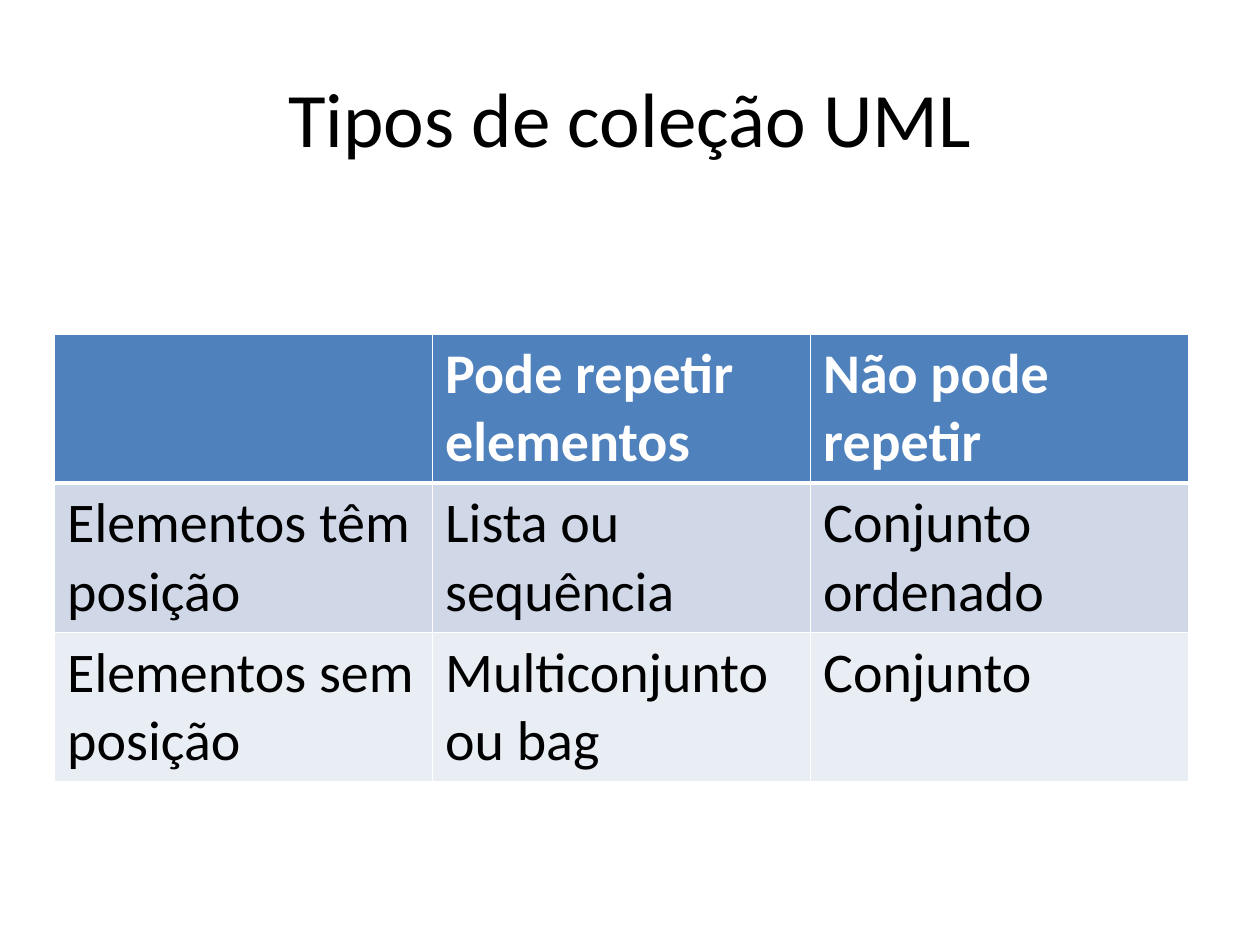
from dataclasses import dataclass

from lxml.etree import SubElement
from pptx import Presentation
from pptx.dml.color import RGBColor
from pptx.enum.text import MSO_ANCHOR, PP_ALIGN
from pptx.oxml.ns import qn
from pptx.util import Pt


@dataclass(frozen=True)
class Theme:
    font: str = "Calibri"
    title_size: int = 44
    cell_size: int = 32
    ink: str = "000000"
    header_ink: str = "FFFFFF"
    header_fill: str = "4F81BD"
    bands: tuple = ("D0D8E8", "E9EDF4")
    rule: str = "FFFFFF"
    thin: int = 1
    thick: int = 3


class SlideBuilder:
    def __init__(self, slide, theme):
        self.slide = slide
        self.theme = theme

    def style(self, paragraph, size, color, bold=False):
        for run in paragraph.runs:
            run.font.name = self.theme.font
            run.font.size = Pt(size)
            run.font.bold = bold
            run.font.color.rgb = RGBColor.from_string(color)

    def title(self, text, left, top, width, height):
        heading = self.slide.shapes.add_textbox(Pt(left), Pt(top), Pt(width), Pt(height))
        frame = heading.text_frame
        frame.word_wrap = True
        frame.vertical_anchor = MSO_ANCHOR.MIDDLE
        frame.text = text
        frame.paragraphs[0].alignment = PP_ALIGN.CENTER
        self.style(frame.paragraphs[0], self.theme.title_size, self.theme.ink)

    def borders(self, cell, top, bottom):
        properties = cell._tc.get_or_add_tcPr()
        widths = {"L": self.theme.thin, "R": self.theme.thin, "T": top, "B": bottom}
        for side, width in widths.items():
            line = SubElement(properties, qn(f"a:ln{side}"), w=str(Pt(width)))
            fill = SubElement(line, qn("a:solidFill"))
            SubElement(fill, qn("a:srgbClr"), val=self.theme.rule)

    def table(self, rows, left, top, column_width, row_height):
        theme = self.theme
        columns = len(rows[0])
        grid = self.slide.shapes.add_table(
            len(rows), columns, Pt(left), Pt(top),
            Pt(column_width * columns), Pt(row_height * len(rows))).table
        for column in grid.columns:
            column.width = Pt(column_width)
        for index, texts in enumerate(rows):
            grid.rows[index].height = Pt(row_height)
            header = index == 0
            fill = theme.header_fill if header else theme.bands[(index - 1) % 2]
            ink = theme.header_ink if header else theme.ink
            for cell, text in zip(grid.rows[index].cells, texts):
                self.borders(cell, theme.thick if index == 1 else theme.thin,
                             theme.thick if header else theme.thin)
                cell.fill.solid()
                cell.fill.fore_color.rgb = RGBColor.from_string(fill)
                cell.text_frame.text = text
                self.style(cell.text_frame.paragraphs[0], theme.cell_size, ink, header)


def main():
    """Build the slide on UML collection types."""
    presentation = Presentation()
    presentation.slide_width, presentation.slide_height = Pt(720), Pt(540)
    slide = presentation.slides.add_slide(presentation.slide_layouts[6])
    builder = SlideBuilder(slide, Theme())
    builder.title("Tipos de coleção UML", 36, 21.6, 648, 90)
    collection_types = [
        ("", "Pode repetir elementos", "Não pode repetir"),
        ("Elementos têm posição", "Lista ou sequência", "Conjunto ordenado"),
        ("Elementos sem posição", "Multiconjunto ou bag", "Conjunto"),
    ]
    builder.table(collection_types, 31.2, 190.8, 216, 85.3)
    presentation.save("out.pptx")


if __name__ == "__main__":
    main()
